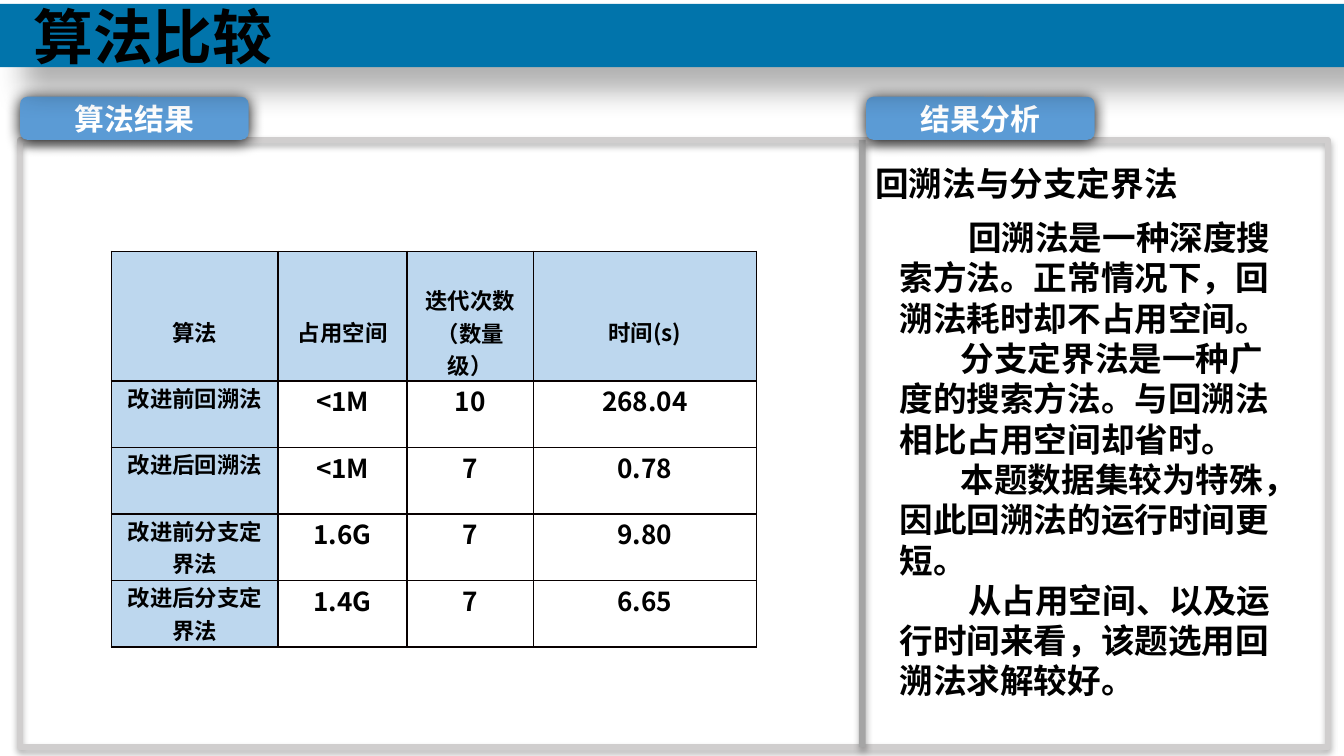
"""Builds a slide that compares the results of search algorithms."""
from lxml.etree import SubElement
from pptx import Presentation
from pptx.dml.color import RGBColor
from pptx.enum.shapes import MSO_SHAPE as Shape
from pptx.enum.text import MSO_ANCHOR as Anchor, PP_ALIGN as Align
from pptx.oxml import parse_xml
from pptx.oxml.ns import nsdecls, qn
from pptx.util import Pt

SCALE = 4572
SLIDE_SIZE = (2000, 1125)
COLORS = {"band": "0174AB", "tab": "5B9BD5", "frame": "D0CECE", "divider": "A5A5A5",
          "head": "BDD7EE", "border": "080000", "ink": "000000", "paper": "FFFFFF"}
CJK = "Noto Sans CJK SC"

TITLE = "算法比较"
TABS = [("结果分析", 1289), ("算法结果", 30)]
HEADERS = [("算法", 2), ("占用空间", 2), ("迭代次数\n（数量级）", 1), ("时间(s)", 2)]
RESULTS = [
    ("改进前回溯法", "<1M", "10", "268.04"),
    ("改进后回溯法", "<1M", "7", "0.78"),
    ("改进前分支定界法", "1.6G", "7", "9.80"),
    ("改进后分支定界法", "1.4G", "7", "6.65"),
]
COLUMN_WIDTHS = [248, 192, 188, 332]
HEADER_HEIGHT, RESULT_HEIGHT, LINE_HEIGHT = 193, 99, 48
ANALYSIS_TITLE = "回溯法与分支定界法"
ANALYSIS = [
    ("回溯法是一种深度搜索方法。正常情况下，回溯法耗时却不占用空间。", 102),
    ("分支定界法是一种广度的搜索方法。与回溯法相比占用空间却省时。", 91),
    ("本题数据集较为特殊，因此回溯法的运行时间更短。", 91),
    ("从占用空间、以及运行时间来看，该题选用回溯法求解较好。", 102),
]
PANEL_SHADOW = {"opacity": 32, "blur": 3.5, "dist": 2.2, "angle": 90}
TAB_SHADOW = {"opacity": 100, "blur": 8.5, "dist": 1, "angle": 90}
BAND_SHADOW = {"opacity": 30, "blur": 15, "dist": 18, "angle": 45}


def px(*lengths):
    return [length * SCALE for length in lengths]


def rgb(name):
    return RGBColor.from_string(COLORS[name])


def write(frame, text, size, color="ink", font="Calibri", align=None, indents=()):
    frame.word_wrap = True
    frame.text = text
    for paragraph in frame.paragraphs:
        paragraph.alignment = align
        run = paragraph.runs[0]
        for key, value in {"size": Pt(size), "bold": True, "name": font}.items():
            setattr(run.font, key, value)
        run.font.color.rgb = rgb(color)
        SubElement(run.font._element, qn("a:ea"), typeface=CJK)
    for paragraph, indent in zip(frame.paragraphs, indents):
        paragraph._p.get_or_add_pPr().set("indent", str(indent * SCALE))


def add_block(slide, kind, box, shadow, fill=None, line=None):
    block = slide.shapes.add_shape(kind, *px(*box))
    if fill:
        block.fill.solid()
        block.fill.fore_color.rgb = rgb(fill)
    else:
        block.fill.background()
    if line:
        block.line.color.rgb = rgb(line)
        block.line.width = Pt(3)
    else:
        block.line.fill.background()
    block.shadow.inherit = False
    effects = block._element.spPr.find(qn("a:effectLst"))
    outer = SubElement(effects, qn("a:outerShdw"), blurRad=str(Pt(shadow["blur"])),
                       dist=str(Pt(shadow["dist"])), dir=str(shadow["angle"] * 60000),
                       algn="t", rotWithShape="0")
    tint = SubElement(outer, qn("a:srgbClr"), val=COLORS["ink"])
    SubElement(tint, qn("a:alpha"), val=str(shadow["opacity"] * 1000))
    return block


def add_text(slide, box, text, size, indents=()):
    label = slide.shapes.add_textbox(*px(*box))
    write(label.text_frame, text, size, indents=indents)


def fill_cell(cell, text, size, shaded, blank_lines=0):
    margins = {"margin_left": 14, "margin_right": 14, "margin_bottom": 0,
               "margin_top": blank_lines * LINE_HEIGHT}
    for key, value in margins.items():
        setattr(cell, key, value * SCALE)
    write(cell.text_frame, text, size, font=CJK, align=Align.CENTER)
    if shaded:
        cell.fill.solid()
        cell.fill.fore_color.rgb = rgb("head")
    else:
        cell.fill.background()
    for position, side in enumerate("LRTB"):
        cell._tc.get_or_add_tcPr().insert(position, parse_xml(
            f'<a:ln{side} {nsdecls("a")} w="{Pt(1)}"><a:solidFill>'
            f'<a:srgbClr val="{COLORS["border"]}"/></a:solidFill></a:ln{side}>'))


def add_results(slide):
    heights = [HEADER_HEIGHT] + [RESULT_HEIGHT] * len(RESULTS)
    box = px(166, 374, sum(COLUMN_WIDTHS), sum(heights))
    table = slide.shapes.add_table(len(heights), len(COLUMN_WIDTHS), *box).table
    table.first_row = table.horz_banding = False
    for column, width in zip(table.columns, COLUMN_WIDTHS):
        column.width = width * SCALE
    for row, height in zip(table.rows, heights):
        row.height = height * SCALE
    for c, (header, blank_lines) in enumerate(HEADERS):
        fill_cell(table.cell(0, c), header, 12, True, blank_lines)
    for r, result in enumerate(RESULTS, 1):
        for c, value in enumerate(result):
            fill_cell(table.cell(r, c), value, 14 if c else 12, c == 0)


def main():
    deck = Presentation()
    deck.slide_width, deck.slide_height = px(*SLIDE_SIZE)
    slide = deck.slides.add_slide(deck.slide_layouts[6])
    add_block(slide, Shape.RECTANGLE, (30, 208, 1946, 904), PANEL_SHADOW, line="frame")
    add_block(slide, Shape.RECTANGLE, (1278, 208, 10, 904), PANEL_SHADOW, "divider")
    for text, left in TABS:
        tab = add_block(slide, Shape.ROUNDED_RECTANGLE, (left, 144, 340, 64), TAB_SHADOW, "tab")
        write(tab.text_frame, text, 16, "paper", align=Align.CENTER)
        tab.text_frame.vertical_anchor = Anchor.MIDDLE
    add_results(slide)
    add_block(slide, Shape.RECTANGLE, (0, 6, SLIDE_SIZE[0], 94), BAND_SHADOW, "band")
    add_text(slide, (30, -10, 1164, 128), TITLE, 32)
    add_text(slide, (1283, 232, 506, 80), ANALYSIS_TITLE, 18)
    paragraphs, indents = zip(*ANALYSIS)
    add_text(slide, (1319, 313, 612, 748), "\n".join(paragraphs), 18, indents)
    deck.save("out.pptx")


if __name__ == "__main__":
    main()
